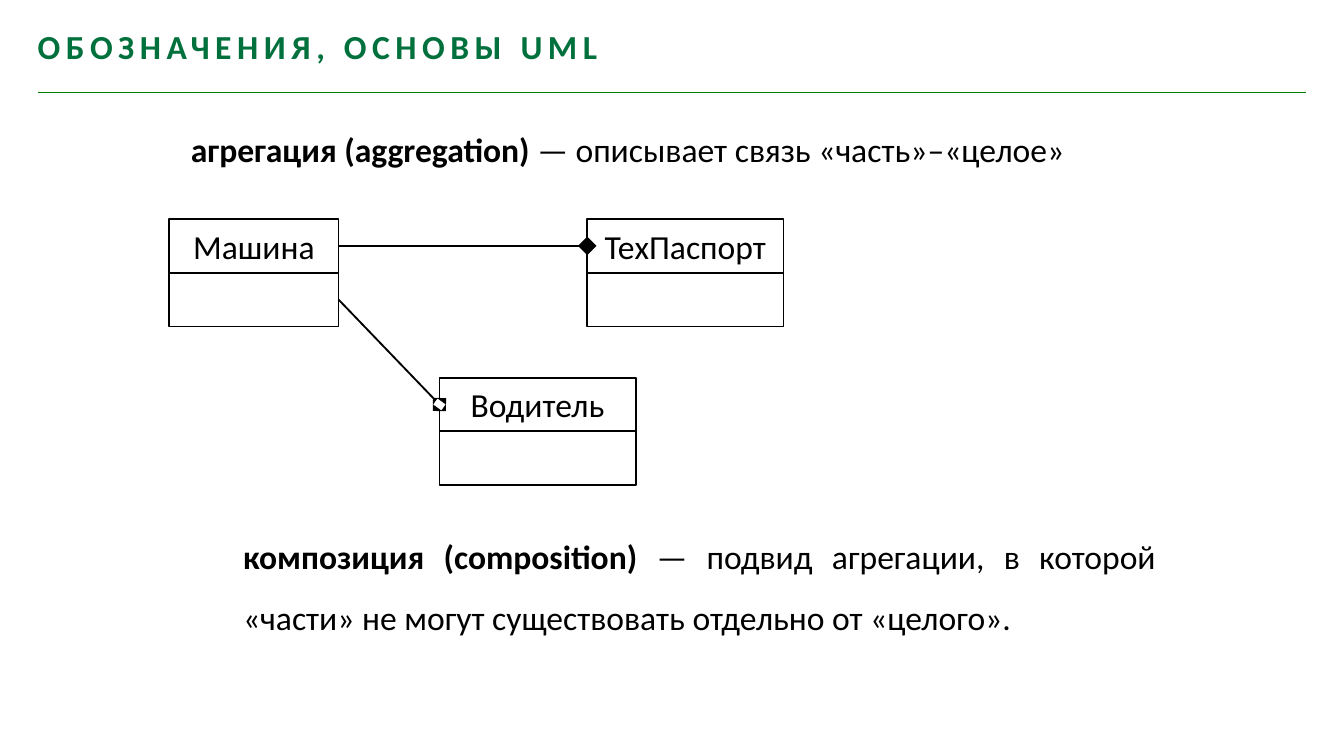
from lxml.etree import SubElement
from pptx import Presentation
from pptx.dml.color import RGBColor
from pptx.enum.shapes import MSO_CONNECTOR, MSO_SHAPE
from pptx.enum.text import MSO_ANCHOR, PP_ALIGN
from pptx.oxml.ns import qn
from pptx.util import Inches, Pt

COLORS = {"title": "00703C", "rule": "008000", "ink": "000000", "paper": "FFFFFF"}
ROW_HEIGHT = 0.4


def color(name):
    """Return the named colour."""
    return RGBColor.from_string(COLORS[name])


def apply_format(target, values):
    """Set every attribute named in the format values."""
    for name, value in values.items():
        setattr(target, name, value)


def add_run(paragraph, text, color_name="ink", bold=False):
    """Append a formatted run and return it."""
    run = paragraph.add_run()
    run.text = text
    apply_format(run.font, {"name": "Calibri", "size": Pt(18), "bold": bold})
    run.font.color.rgb = color(color_name)
    return run


def add_line(slide, start, end, color_name="ink", width=1.0, diamond=False):
    """Draw a straight line, with a large diamond at its end if asked."""
    line = slide.shapes.add_connector(
        MSO_CONNECTOR.STRAIGHT, *(Inches(value) for value in (*start, *end))
    )
    line.line.color.rgb = color(color_name)
    line.line.width = Pt(width)
    if diamond:
        outline = line.line._get_or_add_ln()
        SubElement(outline, qn("a:tailEnd"), type="diamond", w="lg", len="lg")
    SubElement(line._element.spPr, qn("a:effectLst"))


def add_heading(slide, left, top, width, height):
    """Place the spaced slide title and the rule below it."""
    box = slide.shapes.add_textbox(*map(Inches, (left, top, width, height)))
    apply_format(box.text_frame, {
        "word_wrap": True, "margin_left": 0, "margin_top": Inches(0.05), "margin_bottom": 0,
    })
    run = add_run(box.text_frame.paragraphs[0], "ОБОЗНАЧЕНИЯ, ОСНОВЫ UML", "title", True)
    run._r.get_or_add_rPr().set("spc", "300")
    rule_top = top + 0.55
    add_line(slide, (left, rule_top), (10 - left, rule_top), "rule", 0.75)


def add_definition(slide, left, top, width, height, term, meaning, inset=0.1):
    """Place a justified definition with its term in bold."""
    box = slide.shapes.add_textbox(*map(Inches, (left, top, width, height)))
    apply_format(box.text_frame, {"word_wrap": True, "margin_left": Inches(inset)})
    paragraph = box.text_frame.paragraphs[0]
    apply_format(paragraph, {"alignment": PP_ALIGN.JUSTIFY, "line_spacing": 1.5})
    add_run(paragraph, term, bold=True)
    add_run(paragraph, meaning)


def add_class(slide, left, top, width, name):
    """Group the name row and the empty row of a UML class."""
    group = slide.shapes.add_group_shape()
    for row, text in enumerate((name, "")):
        shape = group.shapes.add_shape(
            MSO_SHAPE.RECTANGLE,
            *map(Inches, (left, top + row * ROW_HEIGHT, width, ROW_HEIGHT)),
        )
        shape.shadow.inherit = False
        shape.fill.background()
        shape.line.width = Pt(1)
        shape.line.color.rgb = color("ink")
        apply_format(shape.text_frame, {"word_wrap": True, "vertical_anchor": MSO_ANCHOR.TOP})
        if text:
            paragraph = shape.text_frame.paragraphs[0]
            paragraph.alignment = PP_ALIGN.CENTER
            add_run(paragraph, text)


def add_diamond_core(slide, center_x, center_y, width, height):
    """Whiten the middle of a diamond to show aggregation."""
    core = slide.shapes.add_shape(
        MSO_SHAPE.RECTANGLE,
        *map(Inches, (center_x - width / 2, center_y - height / 2, width, height)),
    )
    core.rotation = 35.4
    core.shadow.inherit = False
    core.fill.solid()
    core.fill.fore_color.rgb = color("paper")
    core.line.color.rgb = color("paper")
    core.line.width = Pt(0.25)


def add_class_diagram(slide, left, top):
    """Place the three classes and the links between them."""
    car_width, part_width = 1.26, 1.46
    passport_left, driver_left, driver_top = left + 3.11, left + 2.01, top + 1.18
    add_class(slide, left, top, car_width, "Машина")
    add_class(slide, passport_left, top, part_width, "ТехПаспорт")
    add_class(slide, driver_left, driver_top, part_width, "Водитель")
    car_right, middle = left + car_width, ROW_HEIGHT / 2
    driver_end = (driver_left, driver_top + middle)
    add_line(slide, (car_right, top + middle), (passport_left, top + middle), diamond=True)
    add_line(slide, (car_right, top + ROW_HEIGHT + middle), driver_end, diamond=True)
    add_diamond_core(slide, *driver_end, 0.07, 0.05)


def main():
    """Build and save the slide."""
    presentation = Presentation()
    presentation.slide_width = Inches(10)
    presentation.slide_height = Inches(10 * 9 / 16)
    slide = presentation.slides.add_slide(presentation.slide_layouts[6])
    add_heading(slide, 0.28, 0.14, 7.17, 0.35)
    add_definition(
        slide, 1.26, 0.76, 8.11, 0.56,
        "агрегация (aggregation)", " — описывает связь «часть»–«целое»", inset=0.16,
    )
    add_class_diagram(slide, 1.26, 1.63)
    add_definition(
        slide, 1.71, 3.79, 6.99, 1.01, "композиция (composition)",
        " — подвид агрегации, в которой «части» не могут существовать отдельно от «целого».",
    )
    presentation.save("out.pptx")


if __name__ == "__main__":
    main()
